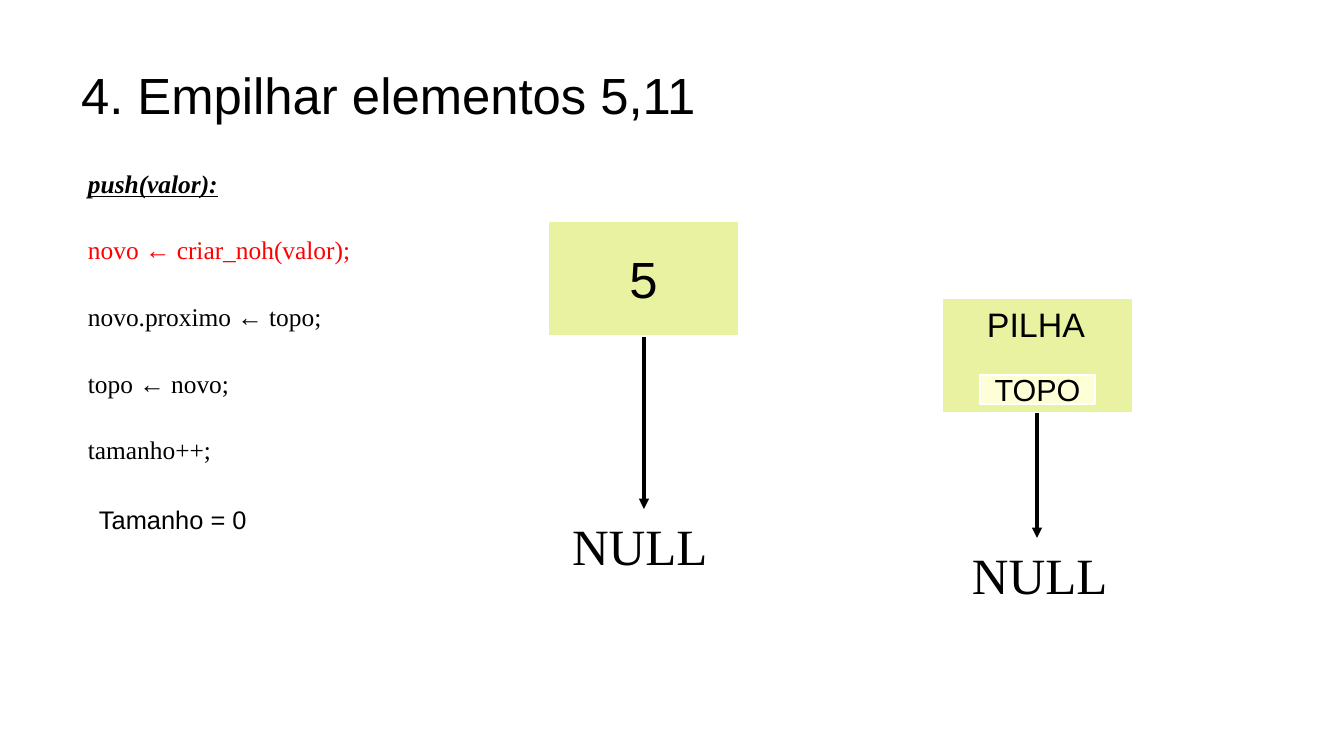
from dataclasses import dataclass

from lxml.etree import SubElement
from pptx import Presentation
from pptx.dml.color import RGBColor
from pptx.enum.shapes import MSO_CONNECTOR, MSO_SHAPE
from pptx.enum.text import MSO_ANCHOR as ANCHOR, MSO_AUTO_SIZE, PP_ALIGN as ALIGN
from pptx.oxml.ns import qn
from pptx.util import Emu, Pt

EMU_PER_PX = 7495


@dataclass(frozen=True)
class Theme:
    sans: str = "Arial"
    serif: str = "Times New Roman"
    ink: str = "000000"
    highlight: str = "FF0000"
    edge: str = "FFFFFF"
    node: str = "E8F2A1"
    field: str = "FFFFD7"
    large: int = 30
    medium: int = 20
    field_size: int = 18
    small: int = 15
    code_gap: float = 21.3


THEME = Theme()


@dataclass(frozen=True)
class Frame:
    left: int
    top: int
    width: int
    height: int

    def emu(self) -> list[Emu]:
        return [px(n) for n in (self.left, self.top, self.width, self.height)]


@dataclass(frozen=True)
class Box:
    frame: Frame
    fill: str
    text: str = ""
    size: int = THEME.large


@dataclass(frozen=True)
class Label:
    frame: Frame
    text: str
    size: int = THEME.large
    font: str = THEME.sans


@dataclass(frozen=True)
class Arrow:
    """A vertical arrow pointing down."""
    x: int
    top: int
    bottom: int


BOXES = [
    Box(Frame(942, 298, 191, 115), THEME.node),
    Box(Frame(980, 375, 115, 29), THEME.field, "TOPO", THEME.field_size),
    Box(Frame(548, 221, 191, 115), THEME.node, "5"),
]
ARROWS = [Arrow(1037, 413, 538), Arrow(644, 337, 509)]
LABELS = [
    Label(Frame(960, 538, 163, 66), "NULL", font=THEME.serif),
    Label(Frame(975, 298, 124, 50), "PILHA", THEME.medium),
    Label(Frame(87, 498, 174, 40), "Tamanho = 0", THEME.small),
    Label(Frame(560, 509, 160, 63), "NULL", font=THEME.serif),
]
CODE_FRAME = Frame(76, 162, 366, 309)
CODE_TITLE = "push(valor):"
CURRENT_STEP = "novo ← criar_noh(valor);"
CODE_STEPS = [CURRENT_STEP, "novo.proximo ← topo;", "topo ← novo;", "tamanho++;"]


def px(n: int) -> Emu:
    return Emu(n * EMU_PER_PX)


def rgb(color: str) -> RGBColor:
    return RGBColor.from_string(color)


def write(p, text: str, *, size: int, font: str = THEME.sans, color: str = THEME.ink,
          align: ALIGN = ALIGN.LEFT, emphasis: bool = False) -> None:
    """Add a run; emphasis makes it bold, italic and underlined."""
    p.alignment = align
    r = p.add_run()
    r.text = text
    r.font.size, r.font.name = Pt(size), font
    r.font.color.rgb = rgb(color)
    r.font.bold = r.font.italic = r.font.underline = emphasis


def add_title(slide, frame: Frame, text: str) -> None:
    sp = slide.shapes.title
    sp.left, sp.top, sp.width, sp.height = frame.emu()
    tf = sp.text_frame
    tf.auto_size, tf.vertical_anchor = MSO_AUTO_SIZE.NONE, ANCHOR.MIDDLE
    tf.margin_left = tf.margin_right = tf.margin_top = tf.margin_bottom = 0
    write(tf.paragraphs[0], text, size=THEME.large)


def add_text_frame(slide, frame: Frame):
    tf = slide.shapes.add_textbox(*frame.emu()).text_frame
    tf.word_wrap = True
    return tf


def add_label(slide, label: Label) -> None:
    tf = add_text_frame(slide, label.frame)
    write(tf.paragraphs[0], label.text, size=label.size, font=label.font)


def add_code(slide) -> None:
    tf = add_text_frame(slide, CODE_FRAME)
    write(tf.paragraphs[0], CODE_TITLE, size=THEME.small, font=THEME.serif, emphasis=True)
    for step in CODE_STEPS:
        p = tf.add_paragraph()
        p.space_before = Pt(THEME.code_gap)
        color = THEME.highlight if step == CURRENT_STEP else THEME.ink
        write(p, step, size=THEME.small, font=THEME.serif, color=color)


def add_box(slide, box: Box) -> None:
    sp = slide.shapes.add_shape(MSO_SHAPE.RECTANGLE, *box.frame.emu())
    sp.shadow.inherit = False
    sp.fill.solid()
    sp.fill.fore_color.rgb = rgb(box.fill)
    sp.line.color.rgb = rgb(THEME.edge)
    sp.line.width = 0
    if box.text:
        tf = sp.text_frame
        tf.word_wrap, tf.vertical_anchor = False, ANCHOR.MIDDLE
        write(tf.paragraphs[0], box.text, size=box.size, align=ALIGN.CENTER)


def add_arrow(slide, arrow: Arrow) -> None:
    x = px(arrow.x)
    line = slide.shapes.add_connector(
        MSO_CONNECTOR.STRAIGHT, x, px(arrow.top), x, px(arrow.bottom))
    line.line.color.rgb = rgb(THEME.ink)
    line.line.width = 0
    SubElement(line.line._get_or_add_ln(), qn("a:tailEnd"), type="triangle")
    SubElement(line._element.spPr, qn("a:effectLst"))


def main() -> None:
    prs = Presentation()
    prs.slide_width, prs.slide_height = px(1344), px(756)
    slide = prs.slides.add_slide(prs.slide_layouts.get_by_name("Title Only"))
    add_title(slide, Frame(67, 31, 1210, 126), " 4. Empilhar elementos 5,11")
    for box in BOXES:
        add_box(slide, box)
    for arrow in ARROWS:
        add_arrow(slide, arrow)
    for label in LABELS:
        add_label(slide, label)
    add_code(slide)
    prs.save("out.pptx")


if __name__ == "__main__":
    main()
